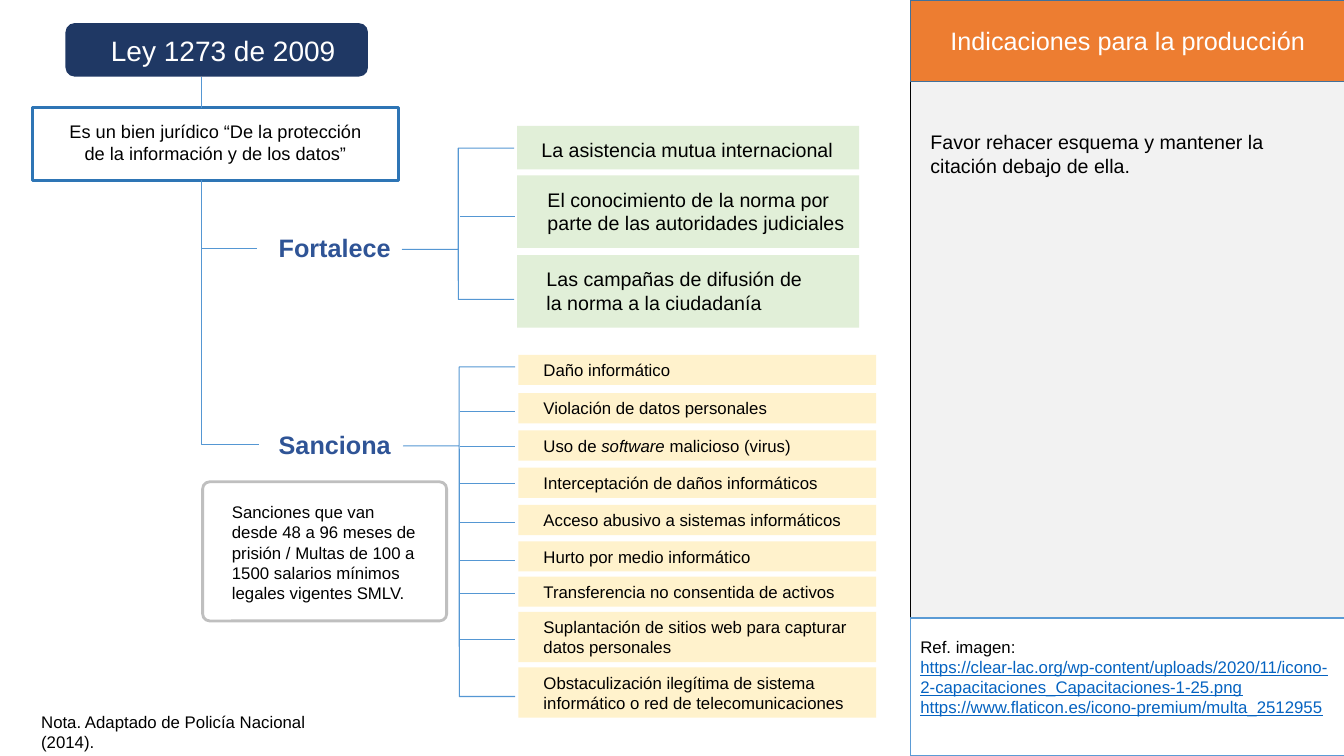
from lxml import etree
from pptx import Presentation
from pptx.dml.color import RGBColor
from pptx.enum.shapes import MSO_CONNECTOR, MSO_SHAPE
from pptx.enum.text import MSO_ANCHOR, MSO_AUTO_SIZE, PP_ALIGN
from pptx.oxml.ns import qn
from pptx.util import Inches, Pt

RECTANGLE = MSO_SHAPE.RECTANGLE
ROUNDED = MSO_SHAPE.ROUNDED_RECTANGLE
BRACE = MSO_SHAPE.LEFT_BRACE
STRAIGHT, ELBOW = MSO_CONNECTOR.STRAIGHT, MSO_CONNECTOR.ELBOW
TOP, MIDDLE = MSO_ANCHOR.TOP, MSO_ANCHOR.MIDDLE
LEFT, CENTER = PP_ALIGN.LEFT, PP_ALIGN.CENTER
NO_AUTOFIT = MSO_AUTO_SIZE.NONE

FONT = "Arial"
BLACK, WHITE = "000000", "FFFFFF"
NAVY, HEADING_BLUE = "1F3864", "2F5496"
BRANCH_BLUE, LINK_BLUE = "5597D3", "0563C1"
GREEN, YELLOW = "E1EFD8", "FFF2CC"
DEFAULT_INSETS = (0.1, 0.05, 0.1, 0.05)


def color(value):
    return RGBColor.from_string(value)


def write_text(shape, *paragraphs, size=12, text_color=BLACK, bold=False,
               align=LEFT, anchor=TOP, insets=DEFAULT_INSETS):
    """Each paragraph is a string or a list of (text, font options) runs."""
    frame = shape.text_frame
    frame.word_wrap = True
    frame.auto_size = NO_AUTOFIT
    frame.vertical_anchor = anchor
    (frame.margin_left, frame.margin_top,
     frame.margin_right, frame.margin_bottom) = map(Inches, insets)
    for index, content in enumerate(paragraphs):
        paragraph = frame.add_paragraph() if index else frame.paragraphs[0]
        paragraph.alignment = align
        runs = [(content, {})] if isinstance(content, str) else content
        for text, options in runs:
            run = paragraph.add_run()
            run.text = text
            font = run.font
            font.name, font.size, font.bold = FONT, Pt(size), bold
            font.italic = options.get("italic", False)
            font.underline = options.get("underline", False)
            font.color.rgb = color(options.get("color", text_color))


class LawDiagram:
    def __init__(self, presentation):
        layout = presentation.slide_layouts.get_by_name("Title Only")
        self.slide = presentation.slides.add_slide(layout)
        self.shapes = self.slide.shapes

    def box(self, box, kind=RECTANGLE, fill=None, line=None, width=1,
            adjustments=()):
        shape = self.shapes.add_shape(kind, *map(Inches, box))
        shape.shadow.inherit = False
        if fill:
            shape.fill.solid()
            shape.fill.fore_color.rgb = color(fill)
        else:
            shape.fill.background()
        if line:
            shape.line.color.rgb = color(line)
            shape.line.width = Pt(width)
        else:
            shape.line.fill.background()
        for index, value in enumerate(adjustments):
            shape.adjustments[index] = value
        return shape

    def title(self, box, text, **style):
        title = self.shapes.title
        title.left, title.top, title.width, title.height = map(Inches, box)
        write_text(title, text, **style)
        title._element.getparent().append(title._element)

    def label(self, box, text, **style):
        write_text(self.shapes.add_textbox(*map(Inches, box)), text, **style)

    def brace(self, box, tip):
        self.box(box, BRACE, line=BRANCH_BLUE, width=0.75, adjustments=(0, tip))

    def connector(self, start, end, kind=STRAIGHT):
        connector = self.shapes.add_connector(kind, *map(Inches, start + end))
        connector.line.color.rgb = color(BRANCH_BLUE)
        connector.line.width = Pt(0.75)
        properties = connector._element.spPr
        etree.SubElement(properties, qn("a:effectLst"))
        if kind == ELBOW:
            # Turn at the start so that the line drops first
            guides = properties.find(qn("a:prstGeom")).get_or_add_avLst()
            etree.SubElement(guides, qn("a:gd"), name="adj1", fmla="val 0")


def add_production_panel(diagram):
    diagram.box((9.03, 0, 4.31, 7.5), fill="F2F2F2", line=BLACK)
    header = diagram.box((9.03, 0, 4.31, 0.81), fill="ED7D31", line="42719B")
    write_text(header, "Indicaciones para la producción", size=18,
               text_color=WHITE, align=CENTER, anchor=MIDDLE)
    diagram.label((9.13, 1.24, 4.1, 0.63),
                  "Favor rehacer esquema y mantener la citación debajo de ella.",
                  size=14)
    link = {"color": LINK_BLUE, "underline": True}
    references = diagram.box((9.03, 6.13, 4.32, 1.37), fill=WHITE, line="5B9BD5")
    write_text(
        references,
        [("Ref. imagen: ", {}),
         ("https://clear-lac.org/wp-content/uploads/2020/11/"
          "icono-2-capacitaciones_Capacitaciones-1-25.png", link)],
        [("https://www.flaticon.es/icono-premium/multa_2512955", link)],
        "", anchor=MIDDLE)


def add_law(diagram):
    diagram.box((0.65, 0.23, 3, 0.53), ROUNDED, fill=NAVY)
    diagram.title((1, 0.28, 2.52, 0.44), "Ley 1273 de 2009", size=20,
                  text_color=WHITE)
    purpose = diagram.box((0.32, 1.07, 3.63, 0.72), line="2E75B5", width=2)
    write_text(purpose, "Es un bien jurídico “De la protección "
               "de la información y de los datos”", size=13, align=CENTER,
               anchor=MIDDLE, insets=(0.26, 0.05, 0.26, 0.09))
    diagram.connector((2, 1.07), (2, 0.76))
    diagram.connector((2, 1.81), (2.55, 2.47), ELBOW)
    diagram.connector((2, 1.79), (2.57, 4.41), ELBOW)
    for text, top in (("Fortalece", 2.26), ("Sanciona", 4.21)):
        diagram.label((2.55, top, 1.54, 0.4), text, size=18, bold=True,
                      text_color=HEADING_BLUE, align=CENTER)


def add_strengths(diagram):
    # Text, top, height, left inset, right inset
    strengths = (
        ("La asistencia mutua internacional", 1.25, 0.43, 0.24, 0.1),
        ("El conocimiento de la norma por parte de las autoridades judiciales",
         1.74, 0.72, 0.3, 0.1),
        ("Las campañas de difusión de la norma a la ciudadanía",
         2.53, 0.72, 0.29, 0.55),
    )
    for text, top, height, left_inset, right_inset in strengths:
        bar = diagram.box((5.13, top, 3.39, height), fill=GREEN)
        write_text(bar, text, size=14,
                   insets=(left_inset, 0.12, right_inset, 0))
    diagram.brace((3.99, 1.47, 1.11, 1.5), tip=0.67)
    diagram.connector((4.56, 2.15), (5.11, 2.15))


def add_sanctions(diagram):
    # Text, top, height
    sanctions = (
        ("Daño informático", 3.52, 0.3),
        ("Violación de datos personales", 3.9, 0.3),
        ([("Uso de ", {}), ("software", {"italic": True}),
          (" malicioso (virus)", {})], 4.27, 0.3),
        ("Interceptación de daños informáticos", 4.64, 0.3),
        ("Acceso abusivo a sistemas informáticos", 5.01, 0.3),
        ("Hurto por medio informático", 5.37, 0.3),
        ("Transferencia no consentida de activos", 5.72, 0.3),
        ("Suplantación de sitios web para capturar datos personales", 6.07, 0.5),
        ("Obstaculización ilegítima de sistema informático o red de "
         "telecomunicaciones", 6.62, 0.5),
    )
    for text, top, height in sanctions:
        bar = diagram.box((5.14, top, 3.55, height), fill=YELLOW)
        write_text(bar, text, anchor=MIDDLE, insets=(0.25, 0.05, 0.2, 0.05))
    diagram.brace((4, 3.64, 1.11, 3.27), tip=0.24)
    for branch in (4.08, 4.43, 4.8, 5.18, 5.56, 5.89, 6.34):
        diagram.connector((4.56, branch), (5.11, branch))

    penalty = diagram.box((2.01, 4.78, 2.42, 1.38), ROUNDED, line="BFBFBF",
                          width=2, adjustments=(0.05,))
    write_text(penalty, "Sanciones que van desde 48 a 96 meses de prisión / "
               "Multas de 100 a 1500 salarios mínimos legales vigentes SMLV.",
               anchor=MIDDLE, insets=(0.27, 0.07, 0.27, 0.05))


def main():
    presentation = Presentation()
    presentation.slide_width, presentation.slide_height = Inches(13.33), Inches(7.5)
    diagram = LawDiagram(presentation)
    add_production_panel(diagram)
    add_law(diagram)
    add_strengths(diagram)
    add_sanctions(diagram)
    diagram.label((0.31, 7.01, 3.38, 0.5),
                  "Nota. Adaptado de Policía Nacional (2014).")
    presentation.save("out.pptx")


if __name__ == "__main__":
    main()
